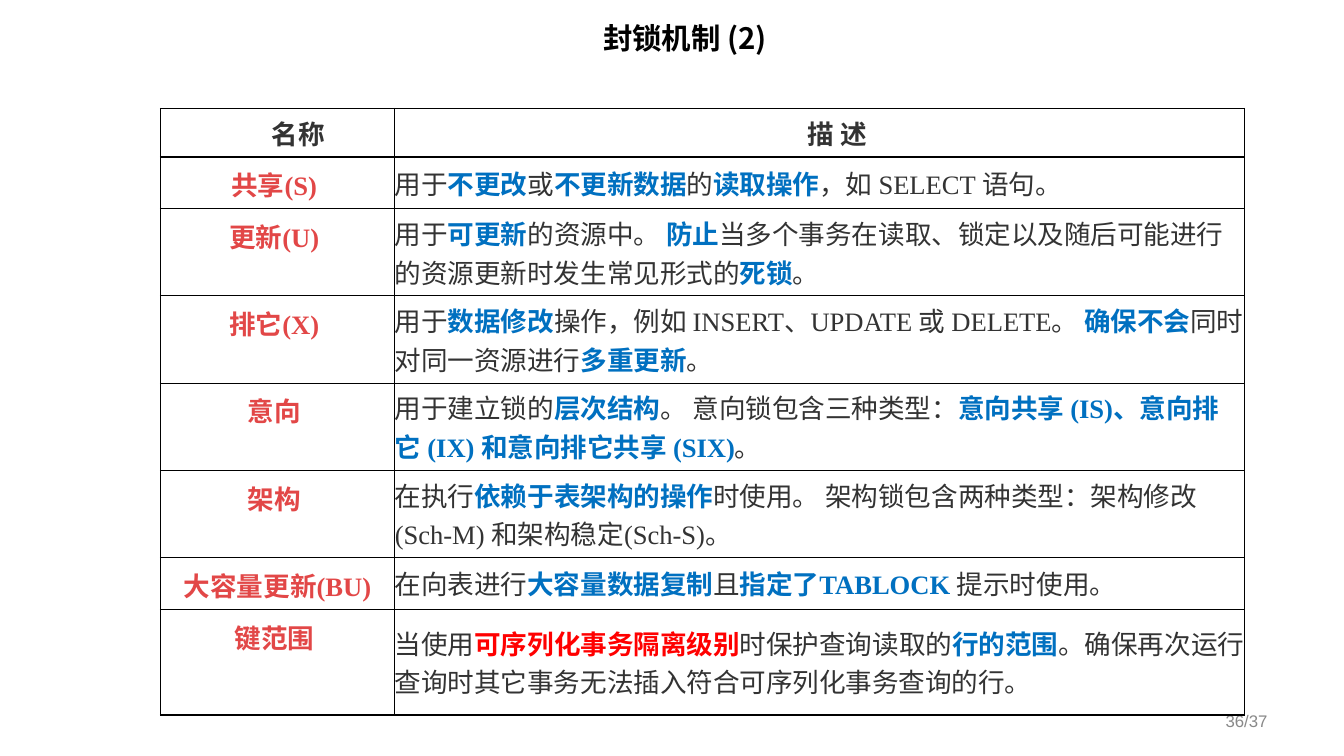
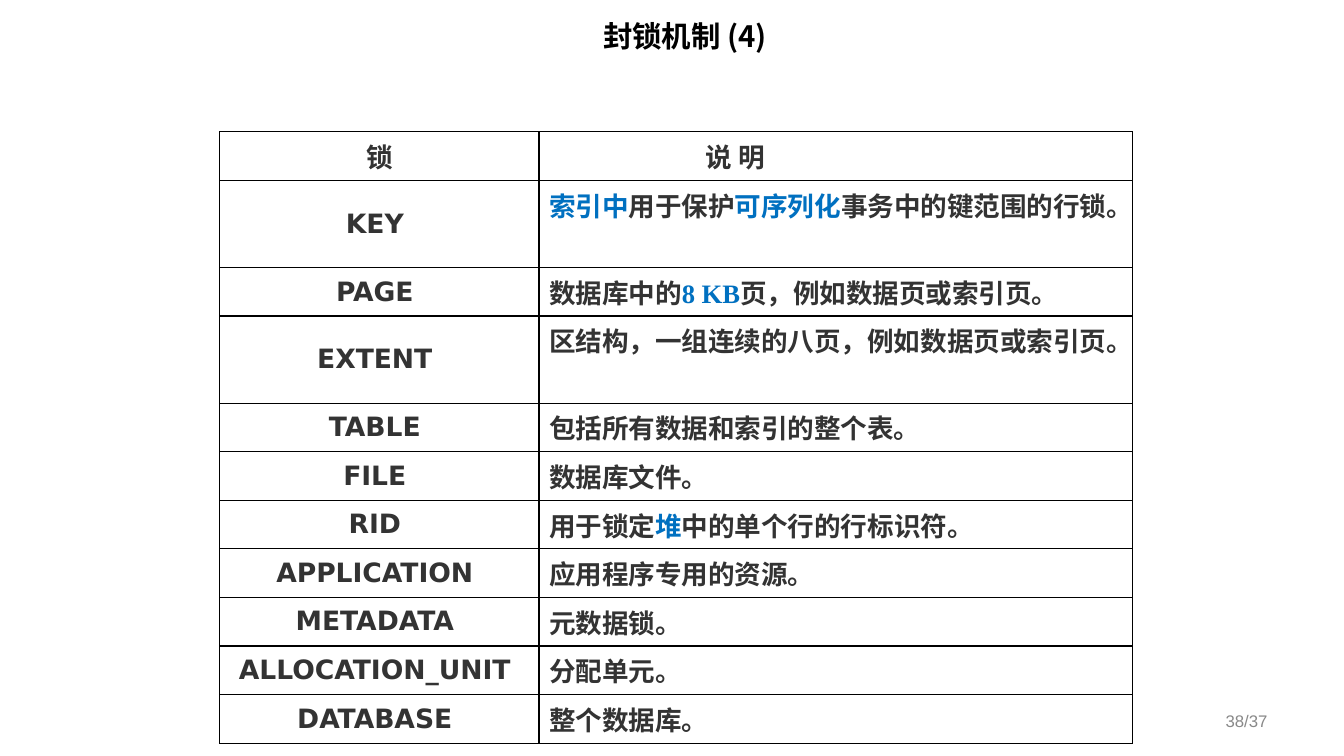
from lxml import etree
from pptx import Presentation
from pptx.dml.color import RGBColor
from pptx.enum import text
from pptx.oxml import ns
from pptx.util import Pt

BLACK, GREY, PALE = "000000", "333333", "898989"
BLUE, RED, CORAL = "0070C0", "FF0000", "E24747"
CJK, SERIF, SANS = "Noto Sans CJK SC", "Times New Roman", "DejaVu Sans"
LEFT, CENTER, RIGHT = (text.PP_ALIGN.LEFT, text.PP_ALIGN.CENTER,
                       text.PP_ALIGN.RIGHT)
TOP, MIDDLE = text.MSO_ANCHOR.TOP, text.MSO_ANCHOR.MIDDLE

MARKS = {"*": BLUE, "!": RED}  # first letter of a highlighted piece

LOCK_MODES = [
    ("共享(S) ", "用于|*不更改|或|*不更新数据|的|*读取操作|，如 SELECT 语句。"),
    ("更新(U) ", "用于|*可更新|的资源中。 |*防止|当多个事务在读取、锁定以及随后可能进行"
                "的资源更新时发生常见形式的|*死锁|。"),
    ("排它(X) ", "用于|*数据修改|操作，例如 INSERT、UPDATE 或 DELETE。 |*确保不会|"
                "同时对同一资源进行|*多重更新|。"),
    ("意向 ", "用于建立锁的|*层次结构|。 意向锁包含三种类型：|"
             "*意向共享 (IS)、意向排它 (IX) 和意向排它共享 (SIX)|。"),
    ("架构 ", "在执行|*依赖于表架构的操作|时使用。 架构锁包含两种类型：架构修改"
             "(Sch-M) 和架构稳定(Sch-S)。"),
    ("大容量更新(BU)", "在向表进行|*大容量数据复制|且|*指定了TABLOCK |提示时使用。"),
    ("键范围 ", "当使用|!可序列化事务隔离级别|时保护查询读取的|*行的范围|。确保再次运行"
              "查询时其它事务无法插入符合可序列化事务查询的行。"),
]
LOCKED_RESOURCES = [
    ("KEY ", "*索引中|用于保护|*可序列化|事务中的键范围的行锁。"),
    ("PAGE ", "数据库中的|*8 KB|页，例如数据页或索引页。"),
    ("EXTENT ", "区结构，一组连续的八页，例如数据页或索引页。"),
    ("TABLE ", "包括所有数据和索引的整个表。"),
    ("FILE ", "数据库文件。"),
    ("RID ", "用于锁定|*堆|中的单个行的行标识符。"),
    ("APPLICATION ", "应用程序专用的资源。"),
    ("METADATA ", "元数据锁。"),
    ("ALLOCATION_UNIT ", "分配单元。"),
    ("DATABASE ", "整个数据库。"),
]


def rgb(code):
    return RGBColor.from_string(code)


def apply(target, formats):
    for name, value in formats.items():
        setattr(target, name, value)


def add_run(paragraph, words, size, face, color, bold):
    run = paragraph.add_run()
    run.text = words
    apply(run.font, {"size": Pt(size), "name": face, "bold": bold})
    run.font.color.rgb = rgb(color)
    east_asian = etree.SubElement(run.font._element, ns.qn("a:ea"))
    east_asian.set("typeface", CJK)


def add_line(slide, box, words, align, size, face, color, bold):
    frame = slide.shapes.add_textbox(*map(Pt, box)).text_frame
    apply(frame, {"word_wrap": True, "vertical_anchor": MIDDLE})
    frame.paragraphs[0].alignment = align
    add_run(frame.paragraphs[0], words, size, face, color, bold)


def set_borders(cell, widths):
    """Draw black edges; widths maps L, R, T, B to points."""
    properties = cell._tc.get_or_add_tcPr()
    for side, width in widths.items():
        edge = etree.SubElement(properties, ns.qn(f"a:ln{side}"), w=str(Pt(width)))
        fill = etree.SubElement(edge, ns.qn("a:solidFill"))
        etree.SubElement(fill, ns.qn("a:srgbClr"), val=BLACK)


def fill_cell(cell, words, look, face):
    """Write pieces parted by |, each plain or highlighted by its first letter."""
    left, top, right, bottom = map(Pt, look["insets"])
    apply(cell, {"margin_left": left, "margin_top": top, "margin_right": right,
                 "margin_bottom": bottom, "vertical_anchor": look["anchor"]})
    cell.fill.background()
    paragraph = cell.text_frame.paragraphs[0]
    paragraph.alignment = look["align"]
    if "indent" in look:
        paragraph._p.get_or_add_pPr().set("indent", str(Pt(look["indent"])))
    for piece in words.split("|"):
        marked = piece[0] in MARKS
        add_run(paragraph, piece[1:] if marked else piece, 19,
                SERIF if marked else face,
                MARKS[piece[0]] if marked else look.get("color", GREY),
                marked or look.get("bold", True))


def add_lock_table(slide, origin, columns, heights, rows, face, thin,
                   header_looks, body_looks):
    """Place a two-column table; edges around the header and at the end are 1 pt."""
    table = slide.shapes.add_table(
        len(rows), len(columns), *map(Pt, origin),
        Pt(sum(columns)), Pt(sum(heights))).table
    apply(table, {"first_row": False, "horz_banding": False})
    for column, width in zip(table.columns, columns):
        column.width = Pt(width)
    strong = {0, 1, len(rows)}
    for r, (row, height) in enumerate(zip(rows, heights)):
        table.rows[r].height = Pt(height)
        looks = body_looks if r else header_looks
        for c, (words, look) in enumerate(zip(row, looks)):
            cell = table.cell(r, c)
            set_borders(cell, {"L": thin, "R": thin,
                               "T": 1 if r in strong else thin,
                               "B": 1 if r + 1 in strong else thin})
            fill_cell(cell, words, look, face)


def add_base_slide(deck, title, title_top, number):
    slide = deck.slides.add_slide(deck.slide_layouts[6])
    add_line(slide, (185, title_top, 613.5, 62.5), title, CENTER, 21, CJK, BLACK, True)
    add_line(slide, (688.5, 500.5, 224, 28.5), number, RIGHT, 12, "Arial", PALE, False)
    return slide


def add_modes_slide(deck):
    slide = add_base_slide(deck, "封锁机制 (2) ", -4.3, "36/37")
    flush = {"insets": (0, 3.6, 0, 3.6), "anchor": MIDDLE}
    header = {**flush, "align": CENTER, "indent": 29.5}
    name = {"insets": (0, 5.75, 0, 3.6), "anchor": TOP, "align": CENTER,
            "color": CORAL}
    description = {**flush, "align": LEFT, "bold": False}
    add_lock_table(slide, (114.5, 77.4), (167.5, 607),
                   (34.7, 37, 62.3, 62.3, 62.3, 62.3, 37, 75.6),
                   [("名称", "描 述 "), *LOCK_MODES], SERIF, 0.75,
                   (header, header), (name, description))


def add_resources_slide(deck):
    slide = add_base_slide(deck, "封锁机制 (4) ", -5.8, "38/37")
    padded = {"insets": (7.2, 3.6, 7.2, 3.6)}
    name = {**padded, "anchor": MIDDLE, "align": CENTER}
    description = {**padded, "anchor": TOP, "align": LEFT}
    rows = [("锁", "说 明"), *LOCKED_RESOURCES]
    tall = {"KEY ", "EXTENT "}
    add_lock_table(slide, (157, 94.2), (228, 424),
                   [62.2 if row[0] in tall else 34.7 for row in rows],
                   rows, SANS, 1,
                   (name, {**description, "indent": 112}), (name, description))


def main():
    deck = Presentation()
    apply(deck, {"slide_width": Pt(960), "slide_height": Pt(540)})
    add_modes_slide(deck)
    add_resources_slide(deck)
    deck.save("out.pptx")


if __name__ == "__main__":
    main()
